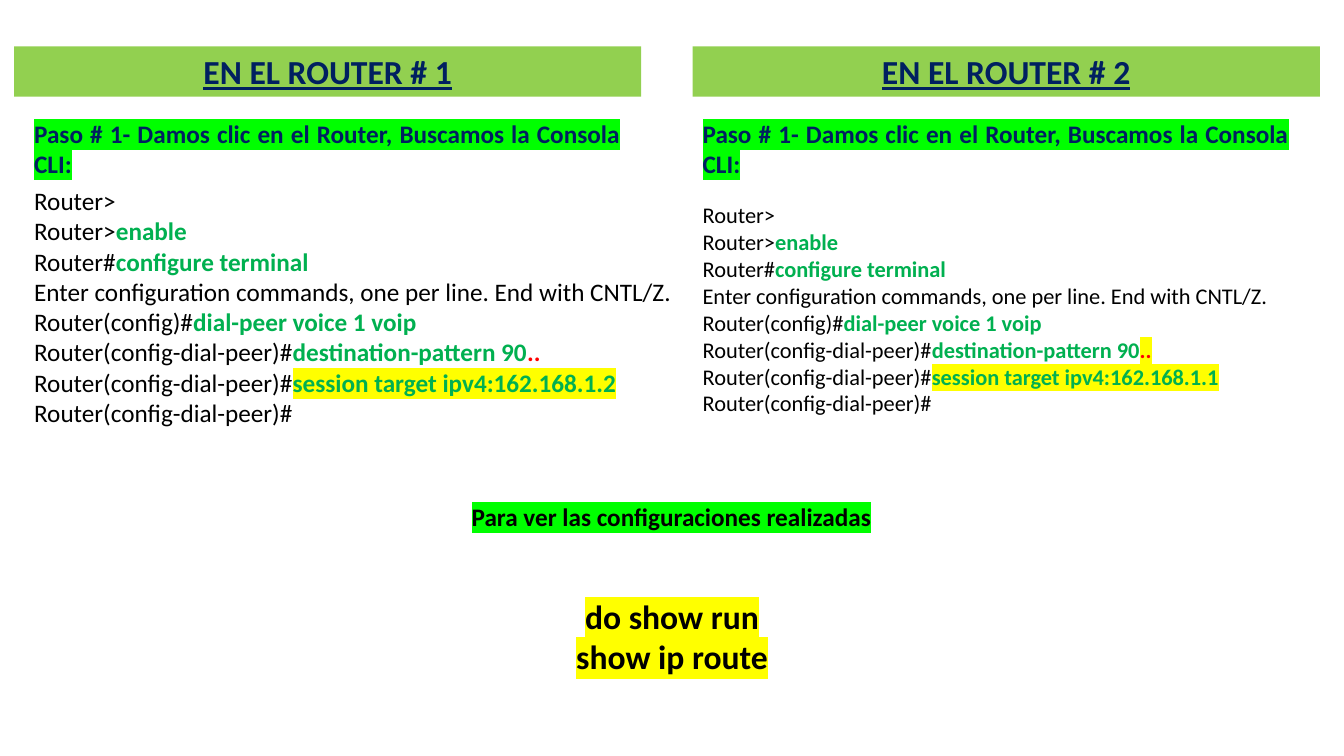
from dataclasses import dataclass, field
from typing import NamedTuple, Optional

from lxml.etree import SubElement
from pptx import Presentation
from pptx.dml.color import RGBColor
from pptx.enum.shapes import MSO_SHAPE
from pptx.enum.text import MSO_ANCHOR, MSO_AUTO_SIZE, PP_ALIGN
from pptx.oxml.ns import qn
from pptx.util import Inches, Pt

BLACK = RGBColor(0x00, 0x00, 0x00)
NAVY = RGBColor(0x00, 0x20, 0x60)
GREEN = RGBColor(0x00, 0xB0, 0x50)
RED = RGBColor(0xFF, 0x00, 0x00)
OLIVE = RGBColor(0x92, 0xD0, 0x50)
LIME = RGBColor(0x00, 0xFF, 0x00)
YELLOW = RGBColor(0xFF, 0xFF, 0x00)

STEP = "Paso # 1- Damos clic en el Router, Buscamos la Consola CLI:"
PEER = "Router(config-dial-peer)#"


class Span(NamedTuple):
    text: str
    color: RGBColor = BLACK
    mark: Optional[RGBColor] = None
    format: dict = {}


@dataclass
class Box:
    left: float
    top: float
    width: float
    height: float
    size: int
    lines: list[list[Span]]
    align: PP_ALIGN = PP_ALIGN.LEFT
    fill: Optional[RGBColor] = None
    frame: dict = field(default_factory=dict)


class Router(NamedTuple):
    number: int
    bar: float
    left: float
    top: float
    width: float
    height: float
    size: int
    target: str
    dots: Optional[RGBColor]


def bold(text: str, color: RGBColor, mark: Optional[RGBColor] = None) -> Span:
    return Span(text, color, mark, {"bold": True})


def draw_span(line, span: Span, size: int) -> None:
    run = line.add_run()
    run.text = span.text
    look = {"name": "Calibri", "size": Pt(size), "bold": False} | span.format
    for key, value in look.items():
        setattr(run.font, key, value)
    run.font.color.rgb = span.color
    if span.mark is not None:
        props = run.font.fill._xPr
        mark = SubElement(props, qn("a:highlight"))
        SubElement(mark, qn("a:srgbClr"), val=str(span.mark))
        props.find(qn("a:solidFill")).addnext(mark)


def draw_box(slide, box: Box) -> None:
    place = [Inches(v) for v in (box.left, box.top, box.width, box.height)]
    if box.fill is None:
        shape = slide.shapes.add_textbox(*place)
    else:
        shape = slide.shapes.add_shape(MSO_SHAPE.RECTANGLE, *place)
        shape.shadow.inherit = False
        shape.fill.solid()
        shape.fill.fore_color.rgb = box.fill
        shape.line.fill.background()
    frame = shape.text_frame
    look = {"word_wrap": True, "auto_size": MSO_AUTO_SIZE.NONE} | box.frame
    for key, value in look.items():
        setattr(frame, key, value)
    for index, spans in enumerate(box.lines):
        line = frame.add_paragraph() if index else frame.paragraphs[0]
        line.alignment = box.align
        for span in spans:
            draw_span(line, span, box.size)


def router_code(router: Router) -> list[list[Span]]:
    return [
        [Span("Router>")],
        [Span("Router>"), bold("enable", GREEN)],
        [Span("Router#"), bold("configure terminal", GREEN)],
        [Span("Enter configuration commands, one per line. End with CNTL/Z.")],
        [Span("Router(config)#"), bold("dial-peer voice 1 voip", GREEN)],
        [Span(PEER), bold("destination-pattern 90", GREEN), bold("..", RED, router.dots)],
        [Span(PEER), bold(f"session target ipv4:{router.target}", GREEN, YELLOW)],
        [Span(PEER)],
    ]


def router_boxes(router: Router) -> list[Box]:
    title = Span(f"EN EL ROUTER # {router.number}", NAVY, None,
                 {"bold": True, "underline": True})
    return [
        Box(router.left, router.top, router.width, router.height, router.size,
            router_code(router), frame=GROW),
        Box(router.bar, 0.46, 6.22, 0.5, 24, [[title]], PP_ALIGN.CENTER, OLIVE,
            {"vertical_anchor": MSO_ANCHOR.MIDDLE}),
        Box(router.left, 1.12, 6.01, 0.5, 18, [[bold(STEP, NAVY, LIME)]],
            PP_ALIGN.JUSTIFY),
    ]


GROW = {"auto_size": MSO_AUTO_SIZE.SHAPE_TO_FIT_TEXT}

ROUTERS = [
    Router(1, 0.14, 0.24, 1.79, 6.67, 2.52, 18, "162.168.1.2", None),
    Router(2, 6.87, 6.87, 1.95, 6.08, 2.29, 16, "162.168.1.1", YELLOW),
]

CHECKS = [
    Box(3.76, 4.92, 5.8, 0.4, 18,
        [[bold("Para ver las configuraciones realizadas", BLACK, LIME)]],
        PP_ALIGN.CENTER, frame=GROW),
    Box(5.47, 5.86, 2.39, 0.91, 24,
        [[bold(text, BLACK, YELLOW)] for text in ("do show run", "show ip route")],
        PP_ALIGN.CENTER, frame=GROW | {"word_wrap": False}),
]


def main() -> None:
    deck = Presentation()
    deck.slide_width, deck.slide_height = Inches(13.33), Inches(7.5)
    slide = deck.slides.add_slide(deck.slide_layouts[6])
    for router in ROUTERS:
        for box in router_boxes(router):
            draw_box(slide, box)
    for box in CHECKS:
        draw_box(slide, box)
    deck.save("out.pptx")


if __name__ == "__main__":
    main()
